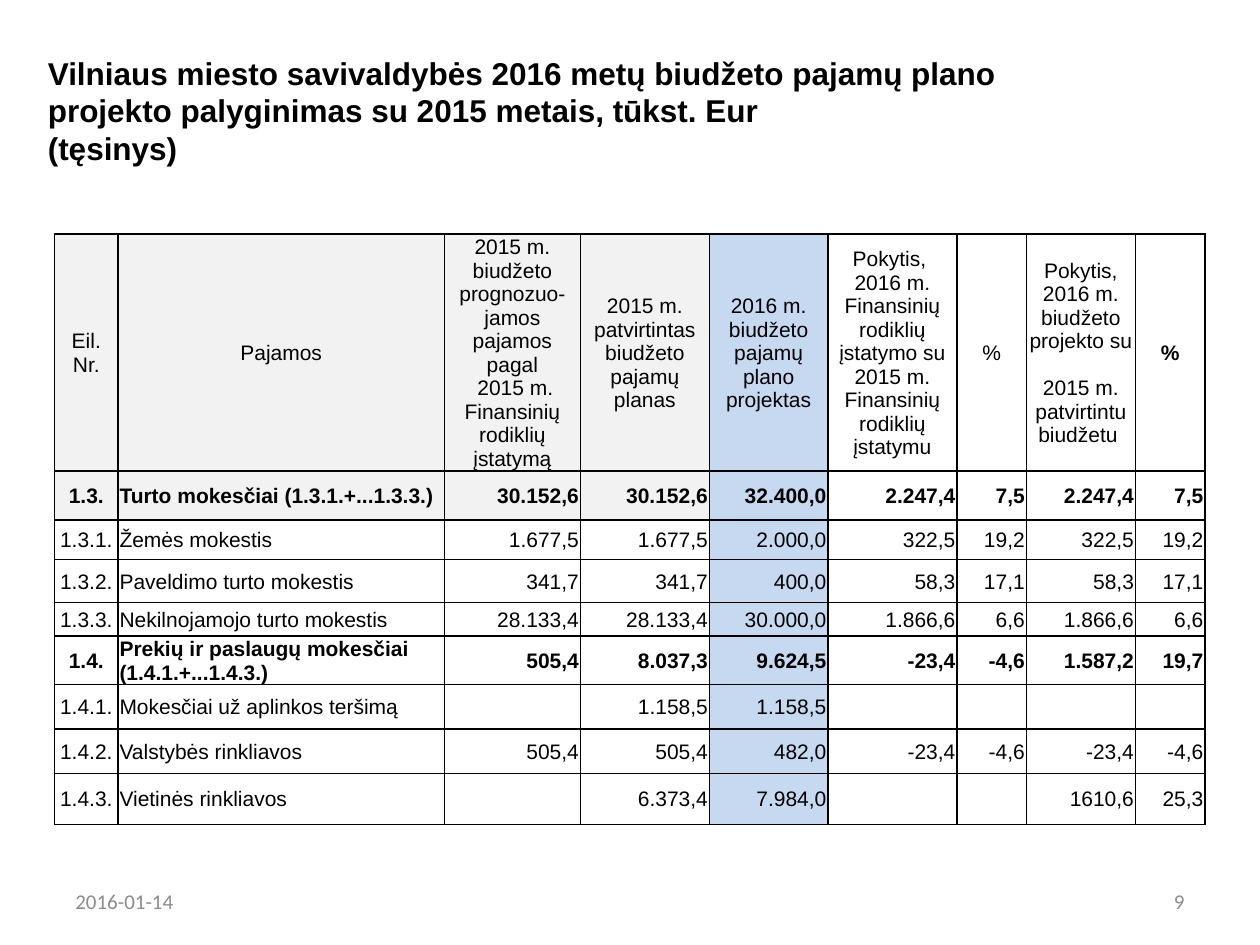
"""Build the slide comparing the 2016 revenue plan with 2015."""
from lxml import etree
from pptx import Presentation
from pptx import util as u
from pptx.dml.color import RGBColor
from pptx.enum import text
from pptx.oxml.ns import qn

HUES = {"ink": "000000", "grey": "F2F2F2", "blue": "C6D9F1", "note": "8C8C8C"}
LEFT, MID, RIGHT = text.PP_ALIGN.LEFT, text.PP_ALIGN.CENTER, text.PP_ALIGN.RIGHT


def style(frame, side, size, face="Arial", hue="ink", bold=False):
    frame.vertical_anchor = text.MSO_ANCHOR.MIDDLE
    for para in frame.paragraphs:
        para.alignment = side
        for item in [para, *para.runs]:
            font = item.font
            font.size, font.name, font.bold = u.Pt(size), face, bold
            font.color.rgb = RGBColor.from_string(HUES[hue])


def border(cell):
    props = cell._tc.get_or_add_tcPr()
    for edge in ("a:lnL", "a:lnR", "a:lnT", "a:lnB"):
        line = etree.SubElement(props, qn(edge), w="12700")
        fill = etree.SubElement(line, qn("a:solidFill"))
        etree.SubElement(fill, qn("a:srgbClr"), val=HUES["ink"])


deck = Presentation()
deck.slide_width, deck.slide_height = u.Cm(25.4), u.Cm(19.05)
slide = deck.slides.add_slide(deck.slide_layouts[5])

title = slide.shapes.title
title.left, title.top, title.width, title.height = u.Cm(0.71), u.Cm(1.12), u.Cm(19.81), u.Cm(2.21)
title.text_frame.text = (
    "Vilniaus miesto savivaldybės 2016 metų biudžeto pajamų plano "
    "projekto palyginimas su 2015 metais, tūkst. Eur\v(tęsinys)"
)
title.text_frame.auto_size = text.MSO_AUTO_SIZE.NONE
style(title.text_frame, LEFT, 18, bold=True)

rows = [
    ["Eil. Nr.", "Pajamos",
     "2015 m. biudžeto prognozuo-jamos pajamos\vpagal\v 2015 m. Finansinių rodiklių įstatymą",
     "2015 m. patvirtintas biudžeto pajamų planas",
     "2016 m. biudžeto pajamų plano projektas",
     "Pokytis, \v2016 m. Finansinių rodiklių įstatymo su 2015 m. Finansinių rodiklių įstatymu",
     "%", "Pokytis, 2016 m. biudžeto projekto su \v2015 m. patvirtintu biudžetu ", "%"],
    ["1.3.", "Turto mokesčiai (1.3.1.+...1.3.3.)",
     "30.152,6", "30.152,6", "32.400,0", "2.247,4", "7,5", "2.247,4", "7,5"],
    ["1.3.1.", "Žemės mokestis",
     "1.677,5", "1.677,5", "2.000,0", "322,5", "19,2", "322,5", "19,2"],
    ["1.3.2.", "Paveldimo turto mokestis",
     "341,7", "341,7", "400,0", "58,3", "17,1", "58,3", "17,1"],
    ["1.3.3.", "Nekilnojamojo turto mokestis",
     "28.133,4", "28.133,4", "30.000,0", "1.866,6", "6,6", "1.866,6", "6,6"],
    ["1.4.", "Prekių ir paslaugų mokesčiai (1.4.1.+...1.4.3.)",
     "505,4", "8.037,3", "9.624,5", "-23,4", "-4,6", "1.587,2", "19,7"],
    ["1.4.1.", "Mokesčiai už aplinkos teršimą", "", "1.158,5", "1.158,5", "", "", "", ""],
    ["1.4.2.", "Valstybės rinkliavos",
     "505,4", "505,4", "482,0", "-23,4", "-4,6", "-23,4", "-4,6"],
    ["1.4.3.", "Vietinės rinkliavos", "", "6.373,4", "7.984,0", "", "", "1610,6", "25,3"],
]
wides = [1.28, 6.58, 2.74, 2.6, 2.39, 2.6, 1.4, 2.2, 1.4]
highs = [4.77, 0.99, 0.8, 0.86, 0.68, 0.97, 0.9, 0.89, 1.03]

table = slide.shapes.add_table(
    len(rows), len(wides), u.Cm(1.1), u.Cm(4.72), u.Cm(sum(wides)), u.Cm(sum(highs))
).table
table.first_row = table.horz_banding = False
for col, wide in zip(table.columns, wides):
    col.width = u.Cm(wide)
for row, high in zip(table.rows, highs):
    row.height = u.Cm(high)

for r, row in enumerate(rows):
    for c, words in enumerate(row):
        cell = table.cell(r, c)
        cell.margin_left = cell.margin_right = cell.margin_top = u.Cm(0.03)
        cell.margin_bottom = 0
        cell.vertical_anchor = text.MSO_ANCHOR.MIDDLE
        cell.text_frame.text = words
        side = MID if r == 0 or c == 0 else LEFT if c == 1 else RIGHT
        bold = row[0] in ("1.3.", "1.4.") or (r == 0 and c == 8)
        for para in cell.text_frame.paragraphs:
            para.alignment = side
            for item in [para, *para.runs]:
                item.font.size, item.font.name, item.font.bold = u.Pt(12), "Arial", bold
                item.font.color.rgb = RGBColor.from_string(HUES["ink"])
        border(cell)
        if c == 4 or (r < 2 and c < 4):
            cell.fill.solid()
            cell.fill.fore_color.rgb = RGBColor.from_string(HUES["blue" if c == 4 else "grey"])
        else:
            cell.fill.background()

for left, words, side in [(18.2, "9", RIGHT), (1.27, "2016-01-14", LEFT)]:
    box = slide.shapes.add_textbox(u.Cm(left), u.Cm(17.66), u.Cm(5.93), u.Cm(1.01))
    box.text_frame.word_wrap = True
    box.text_frame.text = words
    style(box.text_frame, side, 12, "Calibri", "note")

deck.save("out.pptx")
